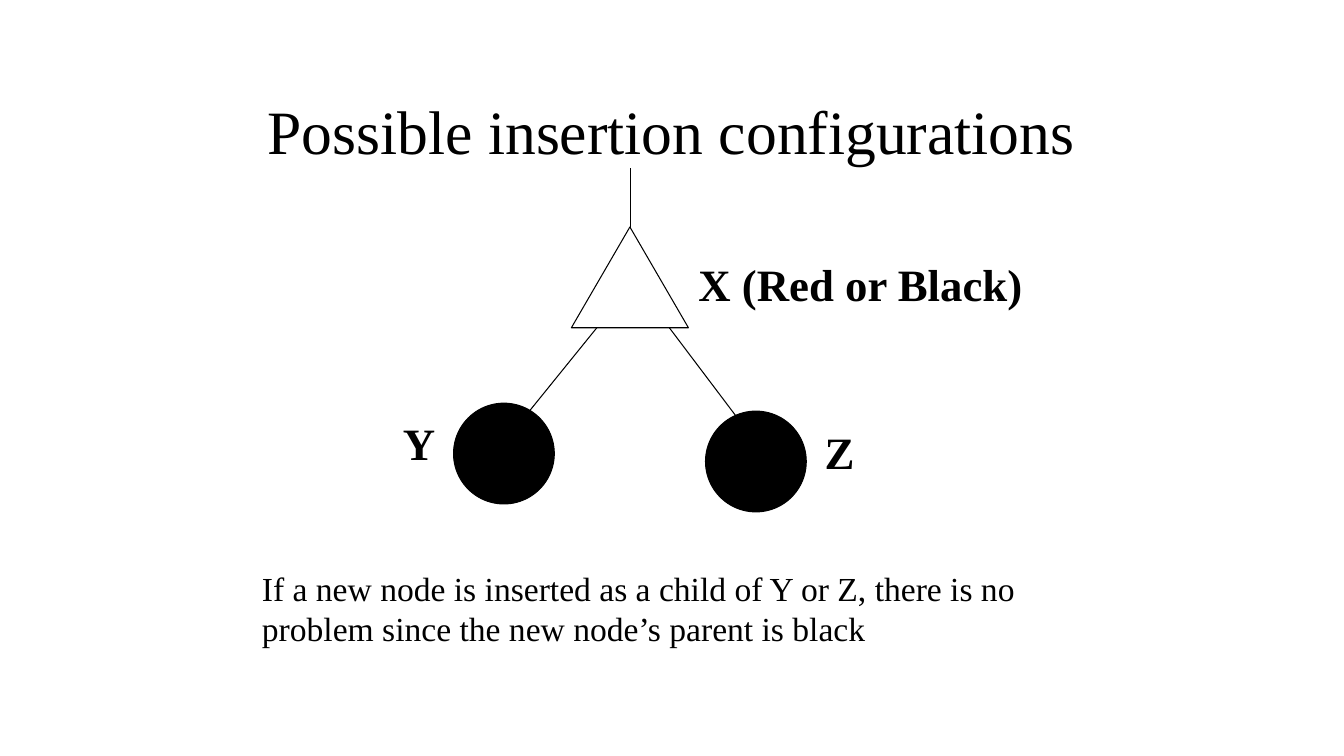
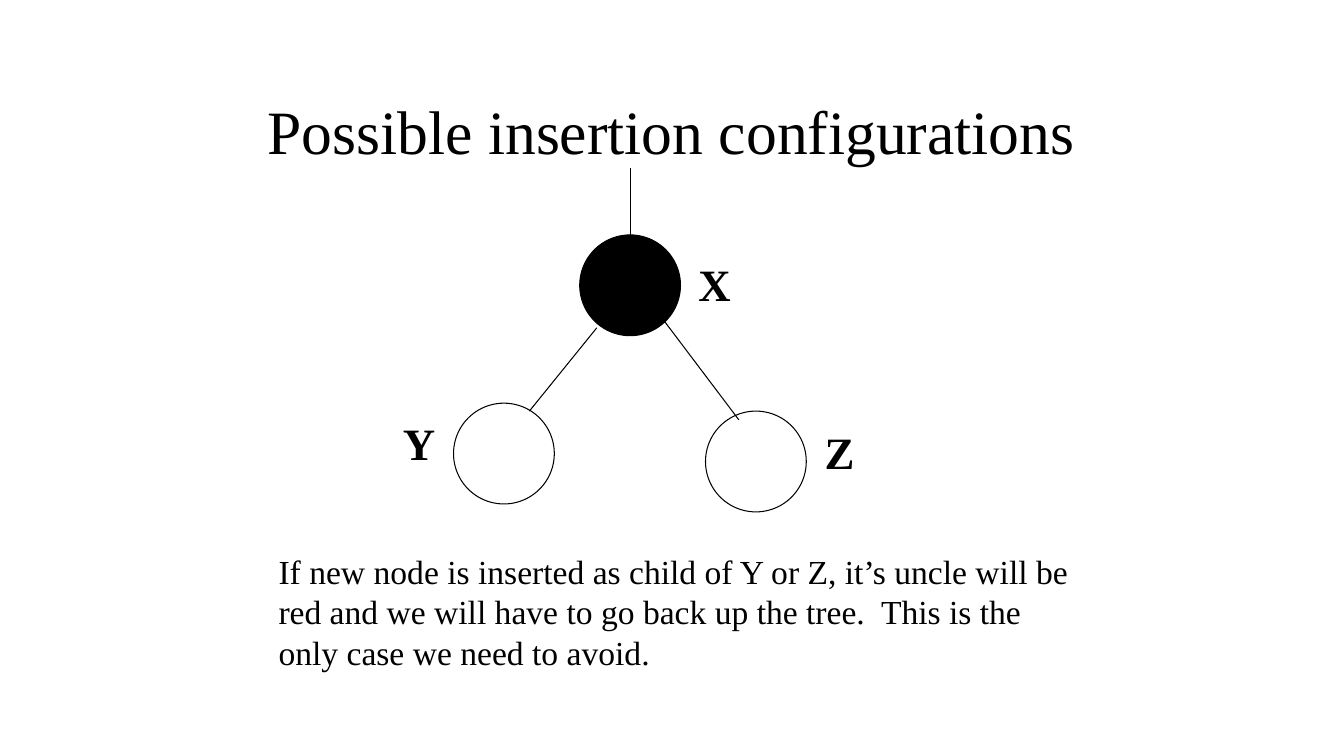
from pptx import Presentation
from pptx.dml.color import RGBColor
from pptx.enum.shapes import MSO_CONNECTOR, MSO_SHAPE
from pptx.enum.text import MSO_ANCHOR, PP_ALIGN
from pptx.oxml.ns import qn
from pptx.util import Cm, Pt
from lxml import etree

LEFT, CENTER, RIGHT = PP_ALIGN.LEFT, PP_ALIGN.CENTER, PP_ALIGN.RIGHT
TOP, MIDDLE = MSO_ANCHOR.TOP, MSO_ANCHOR.MIDDLE
CIRCLE, TRIANGLE = MSO_SHAPE.OVAL, MSO_SHAPE.ISOSCELES_TRIANGLE
STRAIGHT = MSO_CONNECTOR.STRAIGHT

COLORS = {"black": "000000", "white": "FFFFFF"}
FONT = "Times New Roman"
LINE_WIDTH = Pt(0.75)
NODE_SIZE = 2.54
X_CIRCLE = (14.61, 5.92, NODE_SIZE, NODE_SIZE)
X_TRIANGLE = (14.4, 5.72, 2.95, NODE_SIZE)
CHILD_NODES = ((11.43, 10.16), (17.78, 10.36))
BRANCHES = (
    ((15.04, 8.26), (13.34, 10.36)),
    ((16.71, 8.05), (18.62, 10.58)),
    ((15.88, 5.92), (15.88, 4.23)),
)


def color(name):
    return RGBColor.from_string(COLORS[name])


class TreeDeck:
    def __init__(self):
        self.deck = Presentation()
        self.deck.slide_width = Cm(33.87)
        self.deck.slide_height = Cm(19.05)
        self.page = None

    def add_page(self, title):
        self.page = self.deck.slides.add_slide(self.deck.slide_layouts[6])
        self.text(title, (2.54, 1.69, 28.78, 3.18), 44, align=CENTER, anchor=MIDDLE)

    def text(self, words, area, size, bold=False, align=LEFT, anchor=TOP):
        frame = self.page.shapes.add_textbox(*map(Cm, area)).text_frame
        frame.word_wrap = True
        frame.vertical_anchor = anchor
        para = frame.paragraphs[0]
        para.text = words
        para.alignment = align
        para.font.name = FONT
        para.font.size = Pt(size)
        para.font.bold = bold
        para.font.color.rgb = color("black")

    def label(self, words, left, top, width, align=LEFT):
        self.text(words, (left, top, width, 1.6), 32, bold=True, align=align)

    def node(self, kind, area, fill):
        shape = self.page.shapes.add_shape(kind, *map(Cm, area))
        shape.shadow.inherit = False
        shape.fill.solid()
        shape.fill.fore_color.rgb = color(fill)
        shape.line.color.rgb = color("black")
        shape.line.width = LINE_WIDTH

    def branch(self, start, end):
        line = self.page.shapes.add_connector(STRAIGHT, *map(Cm, start + end))
        line.line.color.rgb = color("black")
        line.line.width = LINE_WIDTH
        etree.SubElement(line._element.spPr, qn("a:effectLst"))

    def tree(self, child_fill, x_label, x_label_width):
        for left, top in CHILD_NODES:
            self.node(CIRCLE, (left, top, NODE_SIZE, NODE_SIZE), child_fill)
        for start, end in BRANCHES:
            self.branch(start, end)
        self.label(x_label, 17.35, 6.35, x_label_width)
        self.label("Y", 9.31, 10.36, 1.91, RIGHT)
        self.label("Z", 20.53, 10.58, 1.48)


def main():
    slides = TreeDeck()
    title = "Possible insertion configurations"

    slides.add_page(title)
    slides.tree("black", "X (Red or Black)", 10.16)
    slides.node(TRIANGLE, X_TRIANGLE, "white")
    slides.text(
        "If a new node is inserted as a child of Y or Z, there is no problem "
        "since the new node’s parent is black",
        (6.35, 14.18, 21.17, 2.31), 24)

    slides.add_page(title)
    slides.node(CIRCLE, X_CIRCLE, "black")
    slides.tree("white", "X", 1.27)
    slides.text(
        "If new node is inserted as child of Y or Z, it’s uncle will be red "
        "and we will have to go back up the tree.  This is the only case we "
        "need to avoid.",
        (6.77, 13.76, 20.53, 3.33), 24)

    slides.deck.save("out.pptx")


if __name__ == "__main__":
    main()
